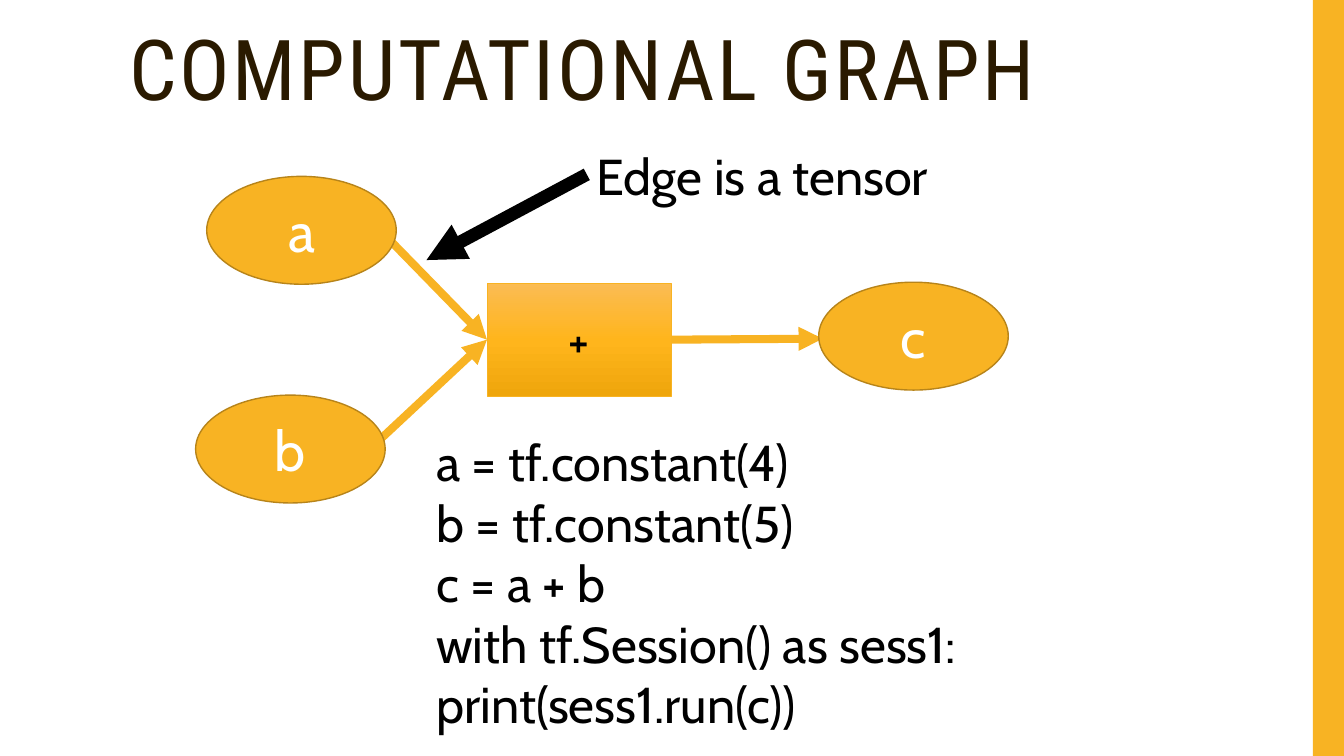
"""Build the computational graph slide."""
from copy import deepcopy

from pptx import Presentation
from pptx.dml.color import RGBColor as Rgb
from pptx.enum.shapes import MSO_CONNECTOR as Connector, MSO_SHAPE as Shape
from pptx.enum.text import MSO_ANCHOR as Anchor, MSO_AUTO_SIZE as AutoSize, PP_ALIGN as Align
from pptx.oxml.ns import qn
from pptx.util import Inches, Pt
from lxml.etree import SubElement

COLORS = {
    "amber": "F8B323", "outline": "B7841A", "title": "2A1A00", "black": "000000",
    "white": "FFFFFF", "light": "FBBC54", "middle": "FFB51C", "deep": "EFA60C",
}
LEFT_SIDE, RIGHT_SIDE = 1, 3


class GraphSlide:
    """Hold the slide and its style, and draw each kind of element."""

    body_font = "Cabin"
    title_font = "Roboto Condensed"
    node_size = (1.88, 1.07)

    def __init__(self, deck):
        self.slide = deck.slides.add_slide(deck.slide_layouts[5])

    def color(self, name):
        return Rgb.from_string(COLORS[name])

    def style(self, paragraph, size, color, font=None):
        paragraph.font.name = font or self.body_font
        paragraph.font.size = Pt(size)
        paragraph.font.color.rgb = self.color(color)

    def title(self, text, box):
        heading = self.slide.shapes.title
        heading.left, heading.top, heading.width, heading.height = map(Inches, box)
        frame = heading.text_frame
        frame.text = text
        frame.auto_size = AutoSize.NONE
        frame.vertical_anchor = Anchor.MIDDLE
        paragraph = frame.paragraphs[0]
        paragraph.alignment = Align.LEFT
        paragraph.line_spacing = 0.9
        self.style(paragraph, 60, "title", self.title_font)
        paragraph.runs[0].font._element.set("spc", "200")

    def block(self, kind, box, line=None, weight=1):
        block = self.slide.shapes.add_shape(kind, *map(Inches, box))
        block.shadow.inherit = False
        block.fill.solid()
        block.fill.fore_color.rgb = self.color("amber")
        if line:
            block.line.color.rgb = self.color(line)
            block.line.width = Pt(weight)
        else:
            block.line.fill.background()
        return block

    def label(self, block, text, size, color):
        frame = block.text_frame
        frame.text = text
        frame.vertical_anchor = Anchor.MIDDLE
        frame.paragraphs[0].alignment = Align.CENTER
        self.style(frame.paragraphs[0], size, color)

    def node(self, text, left, top):
        ellipse = self.block(Shape.OVAL, (left, top, *self.node_size), "outline")
        self.label(ellipse, text, 40, "white")

    def operation(self, text, box):
        operation = self.block(Shape.RECTANGLE, box, "amber", 0.5)
        operation.fill.gradient()
        operation.fill.gradient_angle = 270
        first = operation._element.spPr.find(".//" + qn("a:gs"))
        first.addnext(deepcopy(first))
        shades = (0, "light"), (0.5, "middle"), (1, "deep")
        for stop, (position, shade) in zip(operation.fill.gradient_stops, shades):
            stop.position = position
            stop.color.rgb = self.color(shade)
        self.label(operation, text, 32, "black")
        return operation

    def arrow(self, start, end, color="amber", weight=5.75):
        arrow = self.slide.shapes.add_connector(
            Connector.STRAIGHT, *map(Inches, (*start, *end)))
        arrow.line.color.rgb = self.color(color)
        arrow.line.width = Pt(weight)
        SubElement(arrow.line._get_or_add_ln(), qn("a:tailEnd"), type="triangle")
        SubElement(arrow._element.spPr, qn("a:effectLst"))
        return arrow

    def text(self, lines, box):
        frame = self.slide.shapes.add_textbox(*map(Inches, box)).text_frame
        frame.word_wrap = True
        frame.auto_size = AutoSize.SHAPE_TO_FIT_TEXT
        frame.text = "\n".join(lines)
        for paragraph in frame.paragraphs:
            self.style(paragraph, 36, "black")


def main():
    deck = Presentation()
    deck.slide_width, deck.slide_height = Inches(13.33), Inches(7.5)
    graph = GraphSlide(deck)

    graph.block(Shape.RECTANGLE, (13.02, 0, 0.31, 7.5))
    graph.title("COMPUTATIONAL GRAPH", (1.18, 0.21, 11.23, 1.03))
    addition = graph.operation("+", (4.83, 2.81, 1.83, 1.12))
    graph.text(["a = tf.constant(4)", "b = tf.constant(5)", "c = a + b",
                "with tf.Session() as sess1:\vprint(sess1.run(c))"],
               (4.23, 4.23, 6.81, 3.13))

    for source in ((3.63, 2.14), (3.77, 4.36)):
        graph.arrow(source, (4.83, 3.37)).end_connect(addition, LEFT_SIDE)
    graph.arrow((6.66, 3.37), (8.16, 3.36)).begin_connect(addition, RIGHT_SIDE)
    graph.arrow((5.82, 1.73), (4.23, 2.58), "black", 9.25)
    graph.text(["Edge is a tensor"], (5.82, 1.39, 4.91, 0.71))

    for name, left, top in (("b", 1.94, 3.92), ("a", 2.05, 1.75), ("c", 8.12, 2.8)):
        graph.node(name, left, top)

    deck.save("out.pptx")


if __name__ == "__main__":
    main()
